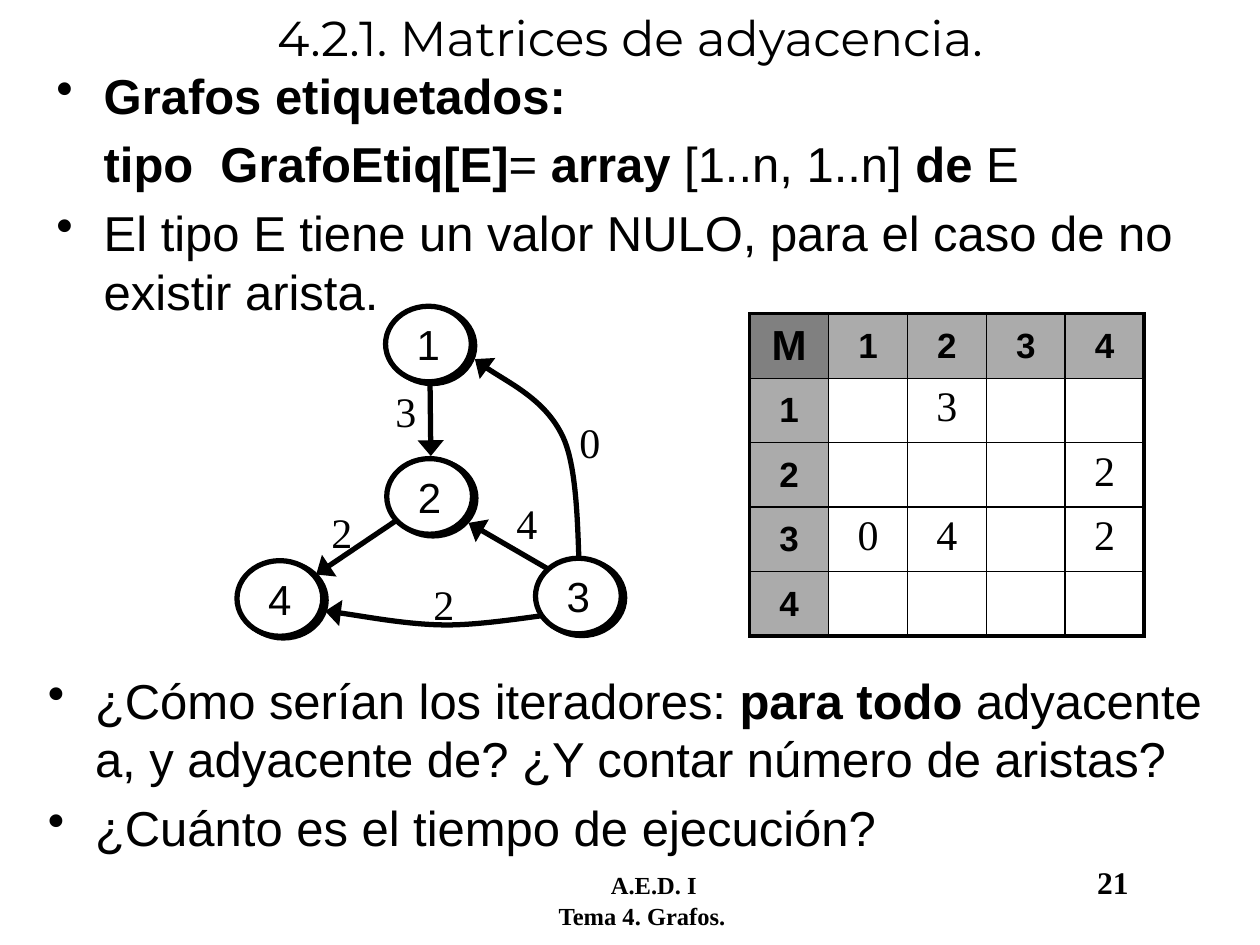
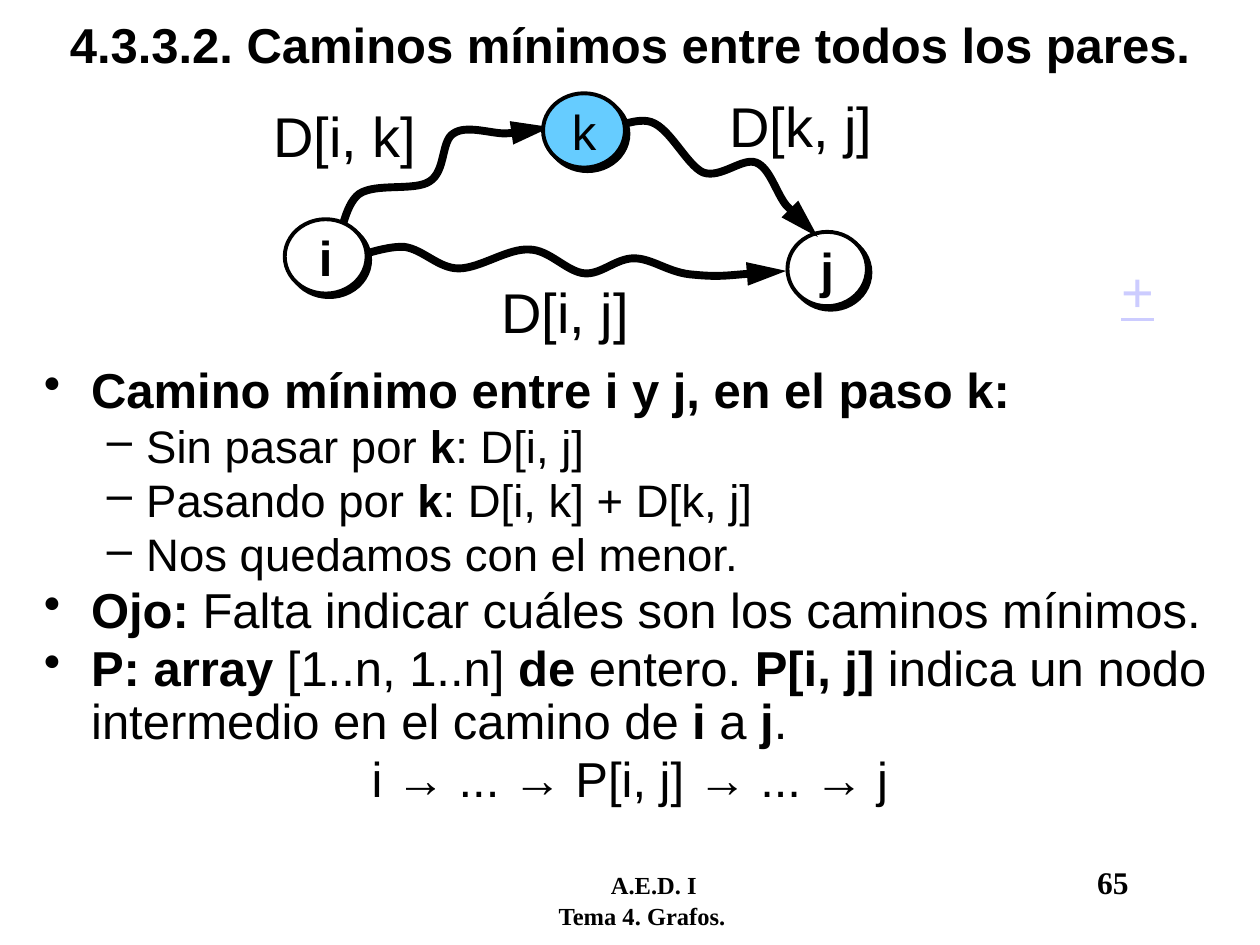
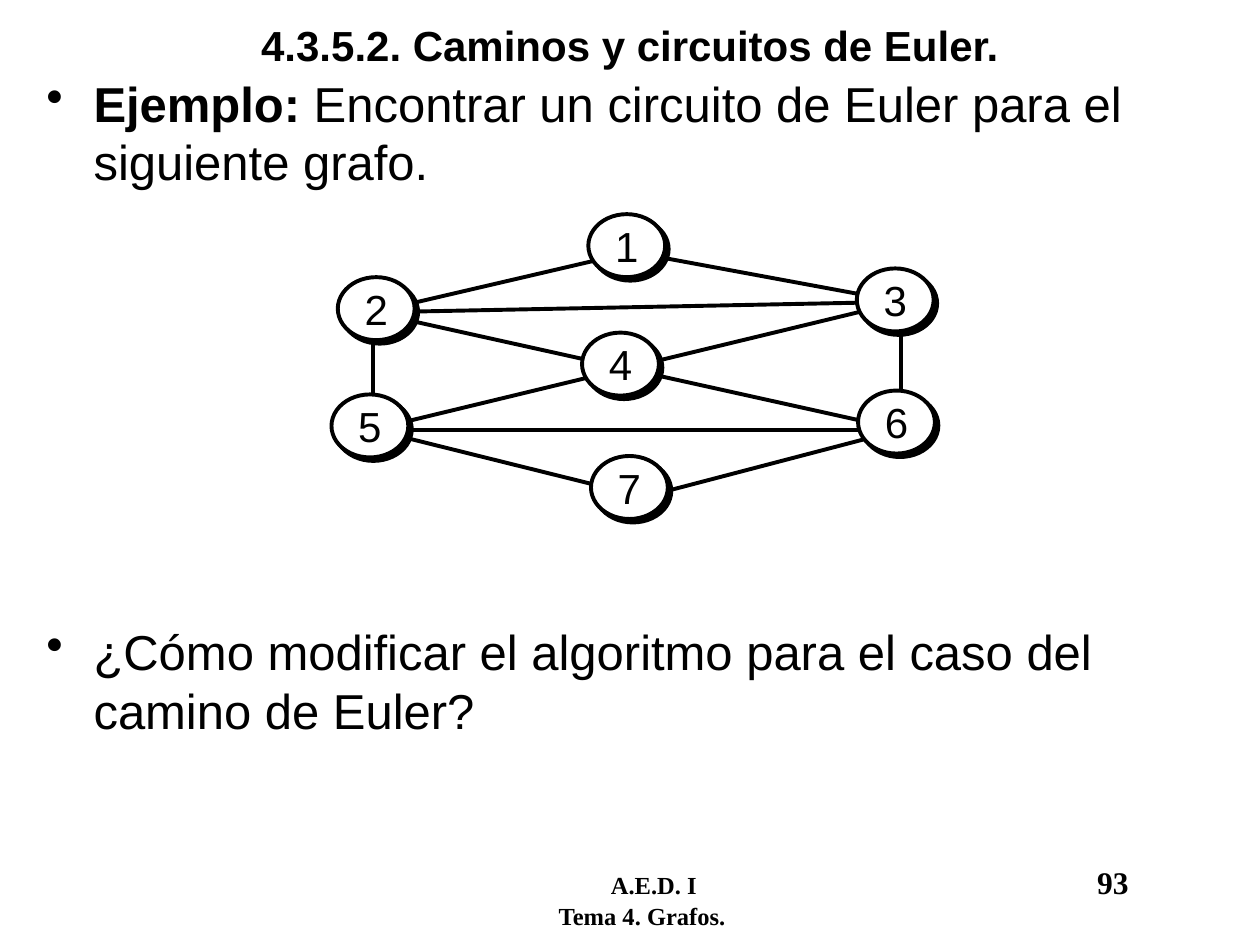
import pptx
import pptx.dml.color
import pptx.enum.shapes
import pptx.enum.text
import pptx.oxml.ns
import pptx.util
from lxml import etree

Pt = pptx.util.Pt
qn = pptx.oxml.ns.qn
ALIGN = pptx.enum.text.PP_ALIGN
ANCHOR = pptx.enum.text.MSO_ANCHOR

BLACK, WHITE, HEADER, CORNER = "000000", "FFFFFF", "ABABAB", "808080"
SKY, LILAC = "66CCFF", "CCCCFF"
SANS, SERIF, DISPLAY = "Arial", "Times New Roman", "Montserrat"

LEVELS = {
    "point": ("•", 27, -27),
    "dash": ("–", 58.5, -22.5),
    "plain": (None, 27, 0),
    "centre": (None, 0, 0),
}
LEVEL_SIZES = {"dash": 26}


def rgb(code):
    """Turn a hex string into a colour."""
    return pptx.dml.color.RGBColor.from_string(code)


def child(parent, tag, **attributes):
    """Append a DrawingML element with attributes."""
    element = etree.SubElement(parent, qn(tag))
    for key, value in attributes.items():
        element.set(key, str(value))
    return element


def style(run, size, font=SANS, bold=False, color=BLACK):
    """Format one run."""
    run.font.size = Pt(size)
    run.font.name = font
    run.font.bold = bold
    run.font.color.rgb = rgb(color)


def add_title(slide, text, height, left=24, size=28, font=SANS, bold=True):
    """Place and format the slide title."""
    title = slide.shapes.title
    title.left, title.top = Pt(left), Pt(0)
    title.width, title.height = Pt(720 - 2 * left), Pt(height)
    frame = title.text_frame
    frame.text = text
    frame.word_wrap = True
    frame.auto_size = pptx.enum.text.MSO_AUTO_SIZE.NONE
    frame.vertical_anchor = ANCHOR.MIDDLE
    frame.paragraphs[0].alignment = ALIGN.CENTER
    style(frame.paragraphs[0].runs[0], size, font, bold)


def add_box(slide, left, top, width, height):
    """Add an empty wrapping text box and give its frame."""
    box = slide.shapes.add_textbox(Pt(left), Pt(top), Pt(width), Pt(height))
    box.text_frame.word_wrap = True
    return box.text_frame


def add_footer(slide, number):
    """Add the course name, the topic and the page number."""
    frame = add_box(slide, 260.6, 489.6, 417.6, 36)
    frame.text = f"\tA.E.D. I\t\n{'Tema 4. Grafos.'}"
    course, topic = frame.paragraphs
    stops = child(course._p.get_or_add_pPr(), "a:tabLst")
    for position in (81.4, 359.3):
        child(stops, "a:tab", pos=Pt(position), algn="l")
    topic._p.get_or_add_pPr().set("marL", str(Pt(51.6)))
    style(course.runs[0], 14, SERIF, True)
    style(topic.runs[0], 14, SERIF, True)
    page = course.add_run()
    page.text = str(number)
    style(page, 18, SERIF, True)


def add_body(slide, area, items, gap, spacing=None):
    """Write outline paragraphs; asterisks enclose bold words."""
    frame = add_box(slide, *area)
    for index, (level, text) in enumerate(items):
        paragraph = frame.add_paragraph() if index else frame.paragraphs[0]
        mark, margin, indent = LEVELS[level]
        properties = paragraph._p.get_or_add_pPr()
        properties.set("marL", str(Pt(margin)))
        properties.set("indent", str(Pt(indent)))
        if mark:
            child(properties, "a:buChar", char=mark)
        if level == "centre":
            paragraph.alignment = ALIGN.CENTER
        if spacing:
            paragraph.line_spacing = spacing
        if index:
            paragraph.space_before = Pt(gap)
        for part, words in enumerate(text.split("*")):
            if words:
                run = paragraph.add_run()
                run.text = words
                style(run, LEVEL_SIZES.get(level, 28), bold=part % 2 == 1)


def add_label(slide, text, left, top, width, height, size, font=SANS, color=BLACK):
    """Add a one-line label and give its run."""
    frame = add_box(slide, left, top, width, height)
    frame.text = text
    run = frame.paragraphs[0].runs[0]
    style(run, size, font, color=color)
    return run


def draw_line(shape, weight, arrow=None):
    """Set a black line, with an arrowhead of the given width and length."""
    shape.line.color.rgb = rgb(BLACK)
    shape.line.width = Pt(weight)
    if arrow:
        outline = shape.element.spPr.find(qn("a:ln"))
        child(outline, "a:tailEnd", type="triangle", w=arrow[0], len=arrow[1])


def add_edge(slide, start, end, weight, arrow=None):
    """Join two points with a straight edge."""
    ends = [Pt(value) for value in (*start, *end)]
    edge = slide.shapes.add_connector(pptx.enum.shapes.MSO_CONNECTOR.STRAIGHT, *ends)
    draw_line(edge, weight, arrow)
    child(edge.element.spPr, "a:effectLst")


def add_curve(slide, points, weight, arrow):
    """Draw a Bézier edge: a start, then two controls and an end per piece."""
    start, *others = [(Pt(x), Pt(y)) for x, y in points]
    builder = slide.shapes.build_freeform(*start, scale=1.0)
    builder.add_line_segments(others, close=False)
    curve = builder.convert_to_shape()
    curve.shadow.inherit = False
    curve.fill.background()
    draw_line(curve, weight, arrow)
    route = next(curve.element.iter(qn("a:path")))
    steps = route.findall(qn("a:lnTo"))
    for first in range(0, len(steps), 3):
        piece = child(route, "a:cubicBezTo")
        for step in steps[first:first + 3]:
            piece.append(step[0])
            route.remove(step)


def add_node(slide, text, left, top, size, weight=2.25, font_size=24,
             bold=False, fill=WHITE, shadow=(2.8, 45)):
    """Add a graph node with a hard black shadow."""
    node = slide.shapes.add_shape(pptx.enum.shapes.MSO_SHAPE.OVAL,
                                  Pt(left), Pt(top), Pt(size[0]), Pt(size[1]))
    node.fill.solid()
    node.fill.fore_color.rgb = rgb(fill)
    draw_line(node, weight)
    node.shadow.inherit = False
    cast = child(node.element.spPr.find(qn("a:effectLst")), "a:outerShdw",
                 blurRad=0, dist=Pt(shadow[0]), dir=shadow[1] * 60000,
                 algn="ctr", rotWithShape=0)
    child(cast, "a:srgbClr", val=BLACK)
    frame = node.text_frame
    frame.text = text
    frame.word_wrap = False
    frame.vertical_anchor = ANCHOR.MIDDLE
    frame.paragraphs[0].alignment = ALIGN.CENTER
    style(frame.paragraphs[0].runs[0], font_size, bold=bold)


def set_borders(cell, weights):
    """Draw the left, right, top and bottom borders of a cell."""
    properties = cell._tc.get_or_add_tcPr()
    for index, (side, weight) in enumerate(zip("LRTB", weights)):
        border = child(properties, f"a:ln{side}", w=Pt(weight))
        child(child(border, "a:solidFill"), "a:srgbClr", val=BLACK)
        properties.insert(index, border)


def add_matrix(slide, rows, left, top, width, height):
    """Add an adjacency matrix with shaded headings and a thick frame."""
    count = len(rows)
    last = count - 1
    matrix = slide.shapes.add_table(count, count, Pt(left), Pt(top),
                                    Pt(width), Pt(height)).table
    matrix.first_row = matrix.horz_banding = False
    for i, values in enumerate(rows):
        matrix.rows[i].height = Pt(height / count)
        matrix.columns[i].width = Pt(width / count)
        for j, value in enumerate(values):
            cell = matrix.cell(i, j)
            heading = i == 0 or j == 0
            if heading:
                cell.fill.solid()
                cell.fill.fore_color.rgb = rgb(HEADER if i or j else CORNER)
                cell.vertical_anchor = ANCHOR.MIDDLE
            else:
                cell.fill.background()
            set_borders(cell, [2.25 if outer else 1 for outer in
                               (j == 0, j == last, i == 0, i == last)])
            if value:
                cell.text_frame.text = value
                paragraph = cell.text_frame.paragraphs[0]
                paragraph.alignment = ALIGN.CENTER
                size = 20 if heading and (i or j) else 24
                style(paragraph.runs[0], size, SANS if heading else SERIF, heading)


def build_matrices(slide):
    """Show a labelled graph and its adjacency matrix."""
    add_title(slide, "4.2.1. Matrices de adyacencia.", 41.8, font=DISPLAY, bold=False)
    add_body(slide, (25.2, 33.8, 676, 126), [
        ("point", "*Grafos etiquetados:*"),
        ("plain", "*tipo  GrafoEtiq[E]*=* array *[1..n, 1..n]* de *E"),
        ("point", "El tipo E tiene un valor NULO, para el caso de no existir arista."),
    ], gap=5.6)
    add_matrix(slide, ["M1234", ["1", "", "3", "", ""], ["2", "", "", "", "2"],
                       ["3", "0", "4", "", "2"], ["4", "", "", "", ""]],
               428.4, 179.3, 225.4, 184.3)
    arrow = ("lg", "med")
    from_3_to_1 = [(331.9, 336.2), (329.8, 321.8), (331.9, 271.4), (321.8, 249.8),
                   (311.8, 228.2), (282.2, 214.6), (271.4, 205.2)]
    from_3_to_4 = [(320.4, 350.6), (309.6, 351.4), (277.9, 357.1), (255.6, 357.1),
                   (233.3, 357.1), (200.2, 350.6), (185.8, 349.2)]
    for points in (from_3_to_1, from_3_to_4):
        add_curve(slide, points, 3, arrow)
    for start, end in [((334.8, 337.7), (267.8, 298.8)),
                       ((249.1, 282.2), (180.7, 328.3)),
                       ((245.5, 195.1), (246.2, 260.6))]:
        add_edge(slide, start, end, 3, arrow)
    for name, left, top in [("1", 220.3, 175), ("2", 221, 262.1),
                            ("3", 306, 319), ("4", 135.4, 320.4)]:
        add_node(slide, name, left, top, (49, 43.2), weight=3, shadow=(2.2, 27))
    for cost, left, top in [("3", 218.9, 216.7), ("4", 288, 280.8), ("0", 324, 234.7),
                            ("2", 182.2, 285.8), ("2", 240.5, 326.9)]:
        add_label(slide, cost, left, top, 40, 36, 24, SERIF)
    add_body(slide, (20.2, 379.4, 682.6, 121), [
        ("point", "¿Cómo serían los iteradores: *para todo* adyacente a, y adyacente de? "
                  "¿Y contar número de aristas?"),
        ("point", "¿Cuánto es el tiempo de ejecución?"),
    ], gap=5.6)


def build_shortest_paths(slide):
    """Show the step through node k in the all-pairs shortest paths."""
    add_title(slide, "4.3.3.2. Caminos mínimos entre todos los pares.", 49.7)
    add_body(slide, (18, 205.9, 684, 268.6), [
        ("point", "*Camino mínimo entre i y j, en el paso k:*"),
        ("dash", "Sin pasar por *k*: D[i, j]"),
        ("dash", "Pasando por *k*: D[i, k] + D[k, j]"),
        ("dash", "Nos quedamos con el menor."),
        ("point", "*Ojo:* Falta indicar cuáles son los caminos mínimos."),
        ("point", "*P: array* [1..n, 1..n] *de* entero. *P[i, j]* indica un nodo "
                  "intermedio en el camino de *i* a *j*."),
        ("centre", "i → ... → P[i, j] → ... → j"),
    ], gap=2.8, spacing=0.9)
    arrow = ("med", "lg")
    from_i_to_j = [
        (198, 148.3), (203.8, 146.9), (220.3, 140.4), (231.1, 141.1),
        (241.9, 142.6), (250.6, 153.4), (262.1, 153.4),
        (274.3, 153.4), (290.2, 141.8), (302.4, 142.6),
        (313.9, 142.6), (324, 155.5), (334.1, 156.2),
        (343.4, 157), (352.1, 147.6), (362.2, 147.6),
        (373, 147.6), (382.3, 156.2), (396.7, 157),
        (411.1, 158.4), (438.5, 155.5), (449.3, 154.8)]
    from_i_to_k = [
        (192.2, 143.3), (194.4, 137.5), (196.6, 117.4), (205.2, 110.9),
        (214.6, 104.4), (236.9, 109.4), (245.5, 103.7),
        (254.9, 97.9), (252, 80.6), (259.2, 76.3),
        (266.4, 71.3), (280.1, 76.3), (288.7, 76.3),
        (298.1, 75.6), (308.9, 73.4), (314.6, 72.7)]
    from_k_to_j = [
        (338.4, 77.8), (344.2, 76.3), (362.2, 66.2), (372.2, 69.8),
        (383, 73.4), (392.4, 94.3), (401.8, 98.6),
        (411.8, 102.2), (424.1, 90), (432, 92.9),
        (439.9, 95.8), (443.5, 110.2), (449.3, 117.4),
        (455.8, 123.8), (463.7, 131.8), (467.3, 135.4)]
    for points in (from_i_to_j, from_i_to_k):
        add_curve(slide, points, 4.5, arrow)
    add_node(slide, "i", 162.7, 125.3, (46.8, 42.5), font_size=28, bold=True)
    add_node(slide, "j", 450, 132.5, (45.4, 42.5), font_size=28, bold=True)
    for text, left, top, width in [("D[k, j]", 409.7, 49, 122.4),
                                   ("D[i, j]", 279.4, 154.8, 109.4),
                                   ("D[i, k]", 149, 54.7, 110.2)]:
        add_label(slide, text, left, top, width, 45.4, 32)
    add_curve(slide, from_k_to_j, 4.5, arrow)
    add_node(slide, "k", 310.3, 53.3, (46.8, 42.5), font_size=28, fill=SKY)
    plus = add_label(slide, "+", 633.6, 143.3, 31.7, 45.4, 32, color=LILAC)
    plus.font.underline = True


def build_euler(slide):
    """Show the example graph for an Euler circuit."""
    add_title(slide, "4.3.5.2. Caminos y circuitos de Euler.", 51.1, left=0, size=24)
    add_body(slide, (19.4, 38.2, 681.8, 433.4), [
        ("point", "*Ejemplo:* Encontrar un circuito de Euler para el siguiente grafo."),
        ("point", "¿Cómo modificar el algoritmo para el caso del camino de Euler?"),
    ], gap=246)
    joints = {1: (361, 144), 2: (213, 178.5), 3: (515, 172.5),
              5: (213, 245.5), 6: (515, 245.5), 7: (368, 284)}
    for start, end in [(5, 7), (7, 6), (5, 2), (2, 1), (1, 3),
                       (3, 6), (6, 5), (5, 3), (6, 2), (2, 3)]:
        add_edge(slide, joints[start], joints[end], 2.25)
    corners = [(336.2, 122.4), (193, 158.4), (489.6, 153.4), (332.6, 190.1),
               (189.4, 225.4), (490.3, 223.2), (337.7, 260.6)]
    for number, (left, top) in enumerate(corners, 1):
        add_node(slide, str(number), left, top, (43.9, 36))


def main():
    """Build the three slides."""
    deck = pptx.Presentation()
    deck.slide_width, deck.slide_height = Pt(720), Pt(540)
    title_only = deck.slide_layouts[5]
    for build, number in [(build_matrices, 21), (build_shortest_paths, 65),
                          (build_euler, 93)]:
        slide = deck.slides.add_slide(title_only)
        add_footer(slide, number)
        build(slide)
    deck.save("out.pptx")


if __name__ == "__main__":
    main()
